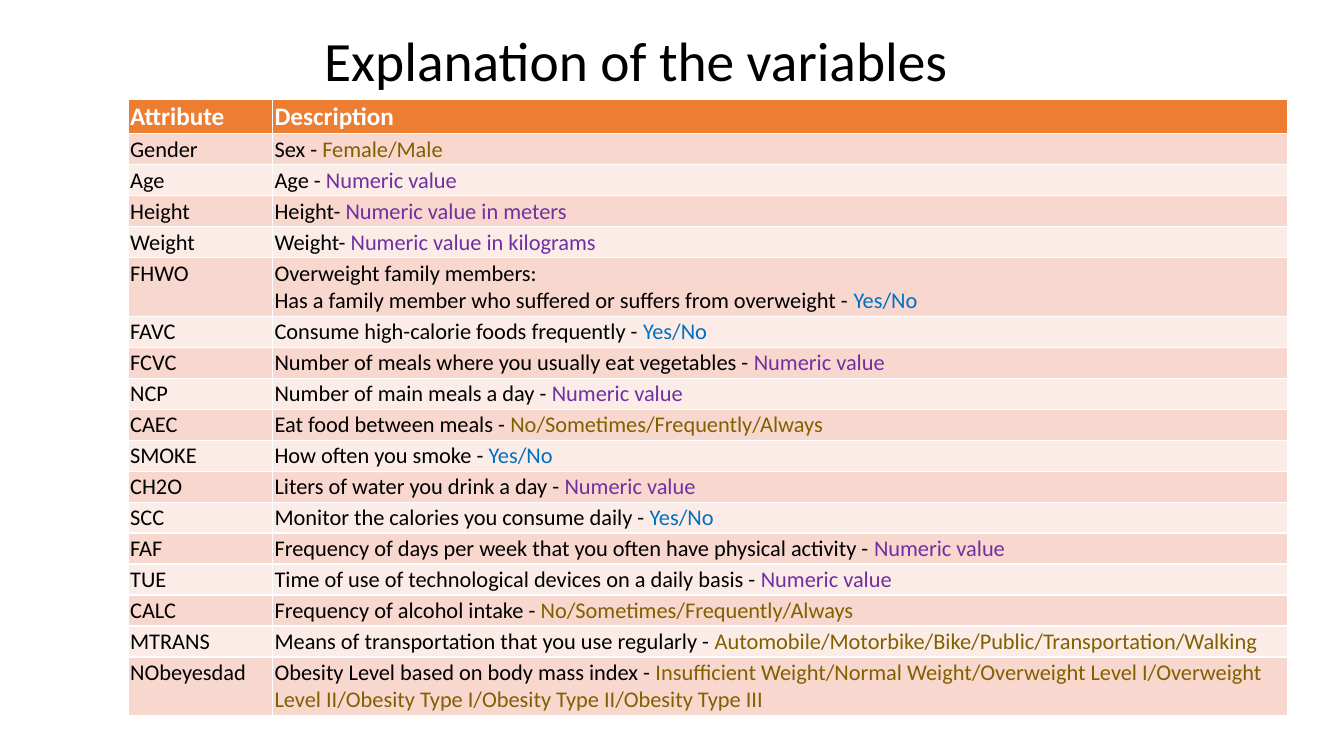
from pptx import Presentation
from pptx import util as u
from pptx.dml import color
from pptx.enum import text

COLOURS = {
    "title": "000000",
    "header": "ED7D31",
    "header_text": "FFFFFF",
    "odd_row": "F8D7CE",
    "even_row": "FCECE8",
    "body": "000000",
    "category": "806000",
    "number": "7030A0",
    "binary": "0070C0",
}
FONT = "Calibri"
FREQUENCIES = "No/Sometimes/Frequently/Always"
WEIGHT_LEVELS = (
    "Insufficient Weight/Normal Weight/Overweight Level I/Overweight Level II/"
    "Obesity Type I/Obesity Type II/Obesity Type III"
)

variables = [
    ("Gender", "Sex - ", "Female/Male", "category"),
    ("Age", "Age - ", "Numeric value", "number"),
    ("Height", "Height- ", "Numeric value in meters", "number"),
    ("Weight", "Weight- ", "Numeric value in kilograms", "number"),
    ("FHWO", "Overweight family members:\nHas a family member who suffered or suffers from overweight - ",
     "Yes/No", "binary"),
    ("FAVC", "Consume high-calorie foods frequently - ", "Yes/No", "binary"),
    ("FCVC", "Number of meals where you usually eat vegetables - ", "Numeric value", "number"),
    ("NCP", "Number of main meals a day - ", "Numeric value", "number"),
    ("CAEC", "Eat food between meals - ", FREQUENCIES, "category"),
    ("SMOKE", "How often you smoke - ", "Yes/No", "binary"),
    ("CH2O", "Liters of water you drink a day - ", "Numeric value", "number"),
    ("SCC", "Monitor the calories you consume daily - ", "Yes/No", "binary"),
    ("FAF", "Frequency of days per week that you often have physical activity - ", "Numeric value", "number"),
    ("TUE", "Time of use of technological devices on a daily basis - ", "Numeric value", "number"),
    ("CALC", "Frequency of alcohol intake - ", FREQUENCIES, "category"),
    ("MTRANS", "Means of transportation that you use regularly - ",
     "Automobile/Motorbike/Bike/Public/Transportation/Walking", "category"),
    ("NObeyesdad", "Obesity Level based on body mass index - ", WEIGHT_LEVELS, "category"),
]
two_line_attributes = {"FHWO", "NObeyesdad"}


def style_runs(frame, size, colour, bold=False):
    for paragraph in frame.paragraphs:
        for run in paragraph.runs:
            run.font.name = FONT
            run.font.size = u.Pt(size)
            run.font.bold = bold
            run.font.color.rgb = color.RGBColor.from_string(COLOURS[colour])


def fill_cell(cell, content, fill, size, colour, bold=False):
    cell.margin_left = cell.margin_right = u.Cm(0.05)
    cell.margin_top = cell.margin_bottom = u.Cm(0.05)
    cell.fill.solid()
    cell.fill.fore_color.rgb = color.RGBColor.from_string(COLOURS[fill])
    cell.text_frame.text = content
    style_runs(cell.text_frame, size, colour, bold)


deck = Presentation()
deck.slide_width = u.Cm(33.87)
deck.slide_height = u.Cm(19.05)
slide = deck.slides.add_slide(deck.slide_layouts[6])

heading = slide.shapes.add_textbox(u.Cm(1.42), u.Cm(0.71), u.Cm(29.21), u.Cm(1.8)).text_frame
heading.word_wrap = True
heading.vertical_anchor = text.MSO_ANCHOR.MIDDLE
heading.text = "Explanation of the variables"
heading.paragraphs[0].alignment = text.PP_ALIGN.CENTER
heading.paragraphs[0].line_spacing = 0.9
style_runs(heading, 39.6, "title")

glossary = slide.shapes.add_table(
    len(variables) + 1, 2, u.Cm(3.23), u.Cm(2.51), u.Cm(29.21), u.Cm(15.5)
).table
glossary.columns[0].width = u.Cm(3.64)
glossary.columns[1].width = u.Cm(25.57)

glossary.rows[0].height = u.Cm(0.86)
for column, label in enumerate(("Attribute", "Description")):
    fill_cell(glossary.cell(0, column), label, "header", 18, "header_text", True)

for row, (attribute, description, values, kind) in enumerate(variables, 1):
    glossary.rows[row].height = u.Cm(1.48 if attribute in two_line_attributes else 0.78)
    band = "odd_row" if row % 2 else "even_row"
    fill_cell(glossary.cell(row, 0), attribute, band, 16, "body")
    meaning = glossary.cell(row, 1)
    fill_cell(meaning, description, band, 16, "body")
    allowed = meaning.text_frame.paragraphs[-1].add_run()
    allowed.text = values
    allowed.font.name = FONT
    allowed.font.size = u.Pt(16)
    allowed.font.color.rgb = color.RGBColor.from_string(COLOURS[kind])

deck.save("out.pptx")
